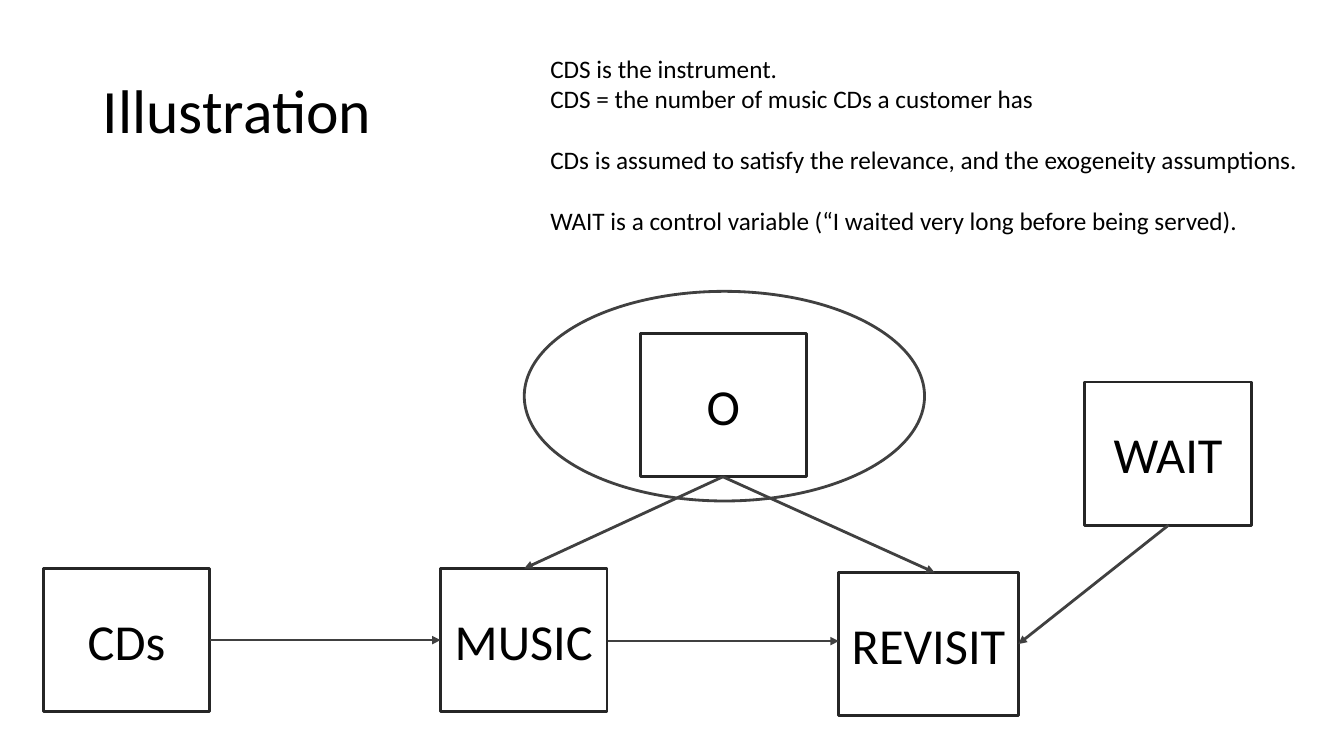
import dataclasses

import pptx
import pptx.dml.color
import pptx.enum.shapes
import pptx.enum.text
import pptx.oxml.ns
import pptx.util
from lxml import etree

Inches, Pt = pptx.util.Inches, pptx.util.Pt
SHAPE = pptx.enum.shapes.MSO_SHAPE
ALIGN = pptx.enum.text.PP_ALIGN
ANCHOR = pptx.enum.text.MSO_ANCHOR


@dataclasses.dataclass(frozen=True)
class Theme:
    font: str = "Calibri"
    text: str = "000000"
    variable_line: str = "262626"
    effect_line: str = "404040"
    line_width: float = 2
    title_size: int = 44
    assumption_size: int = 18
    variable_size: int = 36


@dataclasses.dataclass(frozen=True)
class Box:
    left: float
    top: float
    width: float
    height: float

    def inches(self):
        return [Inches(v) for v in dataclasses.astuple(self)]

    def inner(self, left, top, width, height):
        """Box given relative to this one's top left corner."""
        return Box(self.left + left, self.top + top, width, height)


THEME = Theme()
NODE_WIDTH, NODE_HEIGHT = 1.65, 1.42

# Places inside the diagram box
VARIABLES = {
    "CDs": (0, 2.75, NODE_WIDTH),
    "MUSIC": (3.94, 2.75, NODE_WIDTH),
    "REVISIT": (7.89, 2.79, 1.78),
    "O": (5.92, 0.42, NODE_WIDTH),
    "WAIT": (10.33, 0.9, NODE_WIDTH),
}
UNOBSERVED = (4.77, 0, 3.97, 2.08)
EFFECTS = [
    ((1.65, 3.46), (3.94, 3.46)),
    ((5.6, 3.47), (7.89, 3.47)),
    ((6.74, 1.84), (4.77, 2.75)),
    ((6.74, 1.84), (8.84, 2.79)),
    ((11.16, 2.32), (9.67, 3.5)),
]
# Each line with the space before it
ASSUMPTIONS = [
    ("CDS is the instrument.", 0),
    ("CDS = the number of music CDs a customer has", 0),
    ("CDs is assumed to satisfy the relevance, and the exogeneity assumptions.", 22),
    ("WAIT is a control variable (“I waited very long before being served).", 22),
]


def color(value):
    return pptx.dml.color.RGBColor.from_string(value)


def write(paragraph, text, size, align=ALIGN.LEFT, before=0, spacing=1.0):
    paragraph.alignment = align
    paragraph.space_before = Pt(before)
    paragraph.line_spacing = spacing
    run = paragraph.add_run()
    run.text = text
    run.font.name = THEME.font
    run.font.size = Pt(size)
    run.font.color.rgb = color(THEME.text)


def draw_line(line, value):
    line.color.rgb = color(value)
    line.width = Pt(THEME.line_width)


def add_outline(slide, kind, box, line_color):
    outline = slide.shapes.add_shape(kind, *box.inches())
    outline.shadow.inherit = False
    outline.fill.background()
    draw_line(outline.line, line_color)
    return outline


def add_variable(slide, box, name):
    variable = add_outline(slide, SHAPE.RECTANGLE, box, THEME.variable_line)
    frame = variable.text_frame
    frame.word_wrap = True
    frame.vertical_anchor = ANCHOR.MIDDLE
    write(frame.paragraphs[0], name, THEME.variable_size, align=ALIGN.CENTER)


def add_effect(slide, box, start, end):
    """Arrow between two points given relative to the box."""
    points = [Inches(v) for x, y in (start, end) for v in (box.left + x, box.top + y)]
    effect = slide.shapes.add_connector(pptx.enum.shapes.MSO_CONNECTOR.STRAIGHT, *points)
    draw_line(effect.line, THEME.effect_line)
    qn = pptx.oxml.ns.qn
    properties = effect.element.spPr
    etree.SubElement(properties.find(qn("a:ln")), qn("a:tailEnd"), type="triangle")
    etree.SubElement(properties, qn("a:effectLst"))


def add_title(slide, box):
    title = slide.shapes.title
    title.left, title.top, title.width, title.height = box.inches()
    title.text_frame.vertical_anchor = ANCHOR.MIDDLE
    write(title.text_frame.paragraphs[0], "Illustration", THEME.title_size, spacing=0.9)


def add_assumptions(slide, box):
    frame = slide.shapes.add_textbox(*box.inches()).text_frame
    frame.word_wrap = True
    for index, (assumption, before) in enumerate(ASSUMPTIONS):
        paragraph = frame.add_paragraph() if index else frame.paragraphs[0]
        write(paragraph, assumption, THEME.assumption_size, before=before)


def add_diagram(slide, box):
    for name, (left, top, width) in VARIABLES.items():
        add_variable(slide, box.inner(left, top, width, NODE_HEIGHT), name)
    add_outline(slide, SHAPE.OVAL, box.inner(*UNOBSERVED), THEME.effect_line)
    for start, end in EFFECTS:
        add_effect(slide, box, start, end)


def main():
    deck = pptx.Presentation()
    deck.slide_width, deck.slide_height = Inches(13.33), Inches(7.5)
    slide = deck.slides.add_slide(deck.slide_layouts[5])
    add_title(slide, Box(0.92, 0.4, 11.5, 1.45))
    add_assumptions(slide, Box(5.36, 0.48, 7.9, 2.22))
    add_diagram(slide, Box(0.43, 2.89, 11.98, 4.21))
    deck.save("out.pptx")


if __name__ == "__main__":
    main()
